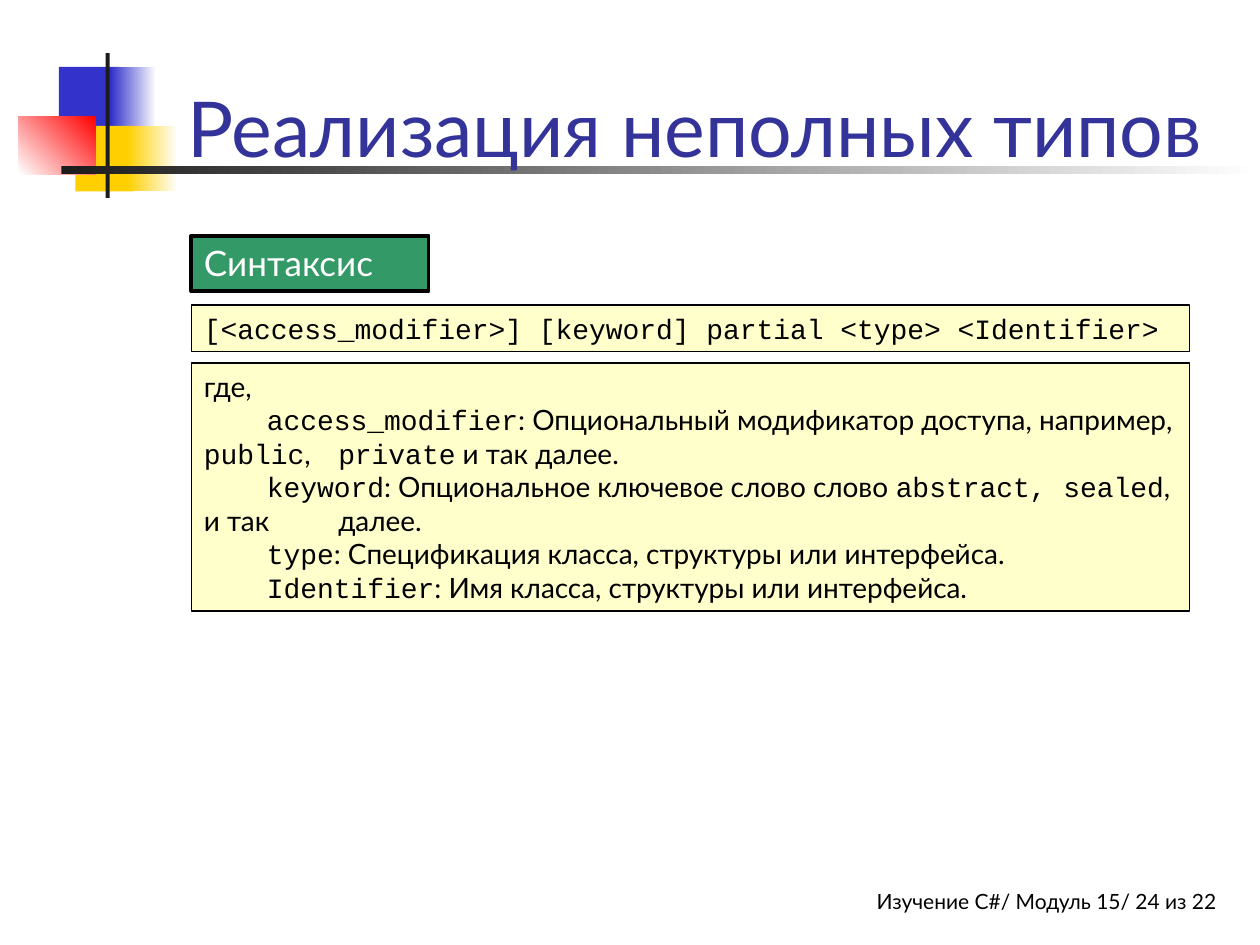
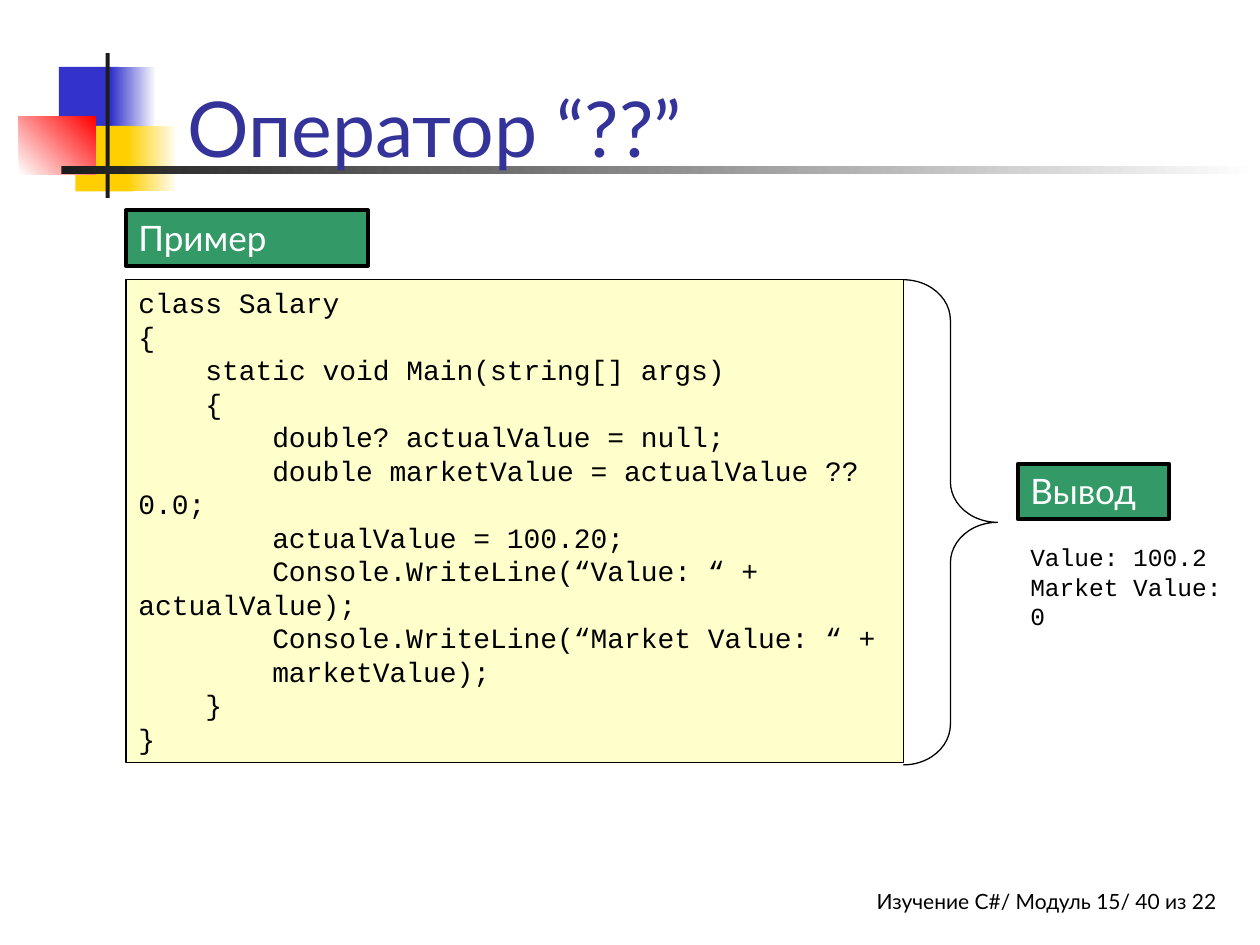
from lxml.etree import SubElement
from pptx import Presentation
from pptx.dml.color import RGBColor
from pptx.enum.shapes import MSO_SHAPE as Preset
from pptx.enum.text import MSO_ANCHOR as Anchor, MSO_AUTO_SIZE as AutoSize, PP_ALIGN as Align
from pptx.oxml.ns import qn
from pptx.util import Cm, Pt

# Shared look
SANS, MONO = "Lato", "Courier New"
BLACK, WHITE = "000000", "FFFFFF"
TITLE_BLUE, LABEL_GREEN, BOX_CREAM = "333399", "339966", "FFFFCC"
BLUE, YELLOW, RED, CHARCOAL = "3333CC", "FFCF01", "FF0000", "1C1C1C"
CODE_INDENT = 1.35  # four characters of 16 pt code

# Left, top, width, height, start colour, end colour, angle
DECORATION = [
    (1.19, 1.35, 1.22, 1.32, BLUE, None, 0),
    (2.24, 1.35, 0.91, 1.32, BLUE, WHITE, 0),
    (1.52, 2.54, 1.17, 1.32, YELLOW, None, 0),
    (2.57, 2.54, 1.02, 1.32, YELLOW, WHITE, 0),
    (0.38, 2.34, 1.55, 1.17, WHITE, RED, 45),
    (2.13, 1.07, 0.08, 2.92, CHARCOAL, None, 0),
    (1.24, 3.35, 24.16, 0.15, CHARCOAL, WHITE, 0),
]

SYNTAX = "[<access_modifier>] [keyword] partial <type> <Identifier>"

# Each paragraph alternates code and prose runs
EXPLANATION = [
    [("где,", SANS)],
    [("\taccess_modifier", MONO),
     (": Опциональный модификатор доступа, например, ", SANS),
     ("public", MONO), (", \t", SANS), ("private", MONO), (" и так далее.", SANS)],
    [("\tkeyword", MONO), (": Опциональное ключевое слово слово ", SANS),
     ("abstract, sealed", MONO), (", и так \tдалее.", SANS)],
    [("\ttype", MONO), (": Спецификация класса, структуры или интерфейса.", SANS)],
    [("\tIdentifier", MONO), (": Имя класса, структуры или интерфейса.", SANS)],
]

# Indent level of the first line, level of wrapped lines, code
CODE = [
    (0, 0, "class Salary"),
    (0, 0, "{"),
    (1, 0, "static void Main(string[] args)"),
    (1, 0, "{"),
    (2, 0, "double? actualValue = null;"),
    (2, 0, "double marketValue = actualValue ?? 0.0;"),
    (2, 0, "actualValue = 100.20;"),
    (2, 0, "Console.WriteLine(“Value: “ + actualValue);"),
    (2, 2, "Console.WriteLine(“Market Value: “ + marketValue);"),
    (1, 0, "}"),
    (0, 0, "}"),
]


def color(hex_code):
    return RGBColor.from_string(hex_code)


def place(left, top, width, height):
    return Cm(left), Cm(top), Cm(width), Cm(height)


def write(shape, paragraphs, size=16, ink=BLACK, font=SANS, align=Align.LEFT,
          anchor=Anchor.TOP, spacing=None, tabs=(), indents=()):
    """Fill a shape with paragraphs, each a string or a list of (text, font) runs."""
    frame = shape.text_frame
    frame.word_wrap = True
    frame.auto_size = AutoSize.NONE
    frame.vertical_anchor = anchor
    for index, content in enumerate(paragraphs):
        paragraph = frame.add_paragraph() if index else frame.paragraphs[0]
        paragraph.alignment = align
        if spacing:
            paragraph.line_spacing = Pt(spacing)
        properties = paragraph._p.get_or_add_pPr()
        if tabs:
            tab_list = SubElement(properties, qn("a:tabLst"))
            for position in tabs:
                SubElement(tab_list, qn("a:tab"), pos=str(Cm(position)), algn="l")
        if indents:
            first, wrapped = indents[index]
            properties.set("marL", str(Cm(wrapped * CODE_INDENT)))
            properties.set("indent", str(Cm((first - wrapped) * CODE_INDENT)))
        runs = [(content, font)] if isinstance(content, str) else content
        for text, run_font in runs:
            run = paragraph.add_run()
            run.text = text
            run.font.name = run_font
            run.font.size = Pt(size)
            run.font.color.rgb = color(ink)


def add_preset(slide, preset, bounds, fill=None, line_width=None):
    shape = slide.shapes.add_shape(preset, *place(*bounds))
    shape.shadow.inherit = False
    if fill:
        shape.fill.solid()
        shape.fill.fore_color.rgb = color(fill)
    else:
        shape.fill.background()
    if line_width:
        shape.line.color.rgb = color(BLACK)
        shape.line.width = Pt(line_width)
    else:
        shape.line.fill.background()
    return shape


def add_decoration(slide):
    for *bounds, start, end, angle in DECORATION:
        shape = add_preset(slide, Preset.RECTANGLE, bounds, start)
        if end:
            shape.fill.gradient()
            shape.fill.gradient_angle = angle
            for stop, hex_code in zip(shape.fill.gradient_stops, (start, end)):
                stop.color.rgb = color(hex_code)


def add_label(slide, left, top, width, text):
    shape = add_preset(slide, Preset.RECTANGLE, (left, top, width, 1.12), LABEL_GREEN, 2.25)
    write(shape, [text], size=20, ink=WHITE)


def add_panel(slide, bounds, paragraphs, **text_format):
    shape = add_preset(slide, Preset.RECTANGLE, bounds, BOX_CREAM, 0.75)
    write(shape, paragraphs, spacing=19.15, **text_format)


def add_text(slide, bounds, paragraphs, **text_format):
    box = slide.shapes.add_textbox(*place(*bounds))
    write(box, paragraphs, **text_format)
    return box


def add_slide(presentation, title_text, number):
    """Start a slide with the shared footer, decoration and title."""
    slide = presentation.slides.add_slide(presentation.slide_layouts[5])
    footer = add_text(slide, (11.63, 17.78, 12.9, 0.84),
                      [f"Изучение C#/ Модуль 15/ {number} из 22"],
                      size=12, align=Align.RIGHT)
    footer.text_frame.margin_right = 0
    add_decoration(slide)
    title = slide.shapes.title
    title.left, title.top, title.width, title.height = place(3.53, 0.43, 21.64, 3.18)
    write(title, [title_text], size=44, ink=TITLE_BLUE, anchor=Anchor.BOTTOM)
    slide.shapes._spTree.append(title._element)  # title in front of the rule
    return slide


def build_partial_types(presentation):
    slide = add_slide(presentation, "Реализация неполных типов", 24)
    add_label(slide, 3.86, 4.75, 4.78, "Синтаксис")
    add_panel(slide, (3.86, 6.15, 20.12, 0.94), [SYNTAX], font=MONO)
    add_panel(slide, (3.86, 7.32, 20.12, 5), EXPLANATION, tabs=(1.27, 2.71))


def build_operator(presentation):
    slide = add_slide(presentation, "Оператор “??”", 40)
    # Code example
    add_label(slide, 2.54, 4.24, 4.88, "Пример")
    add_panel(slide, (2.54, 5.64, 15.67, 9.73), [code for _, _, code in CODE], font=MONO,
              indents=[(first, wrapped) for first, wrapped, _ in CODE])
    # Brace pointing to the output
    brace = add_preset(slide, Preset.RIGHT_BRACE, (18.21, 5.64, 1.9, 9.78), line_width=0.75)
    brace.adjustments[0] = 0.43
    brace.adjustments[1] = 0.5
    add_label(slide, 20.52, 9.35, 3.05, "Вывод")
    add_text(slide, (20.52, 10.8, 4.65, 2.03), ["Value: 100.2", "Market Value: 0"],
             size=14, font=MONO, spacing=16.9)


def main():
    presentation = Presentation()
    presentation.slide_width, presentation.slide_height = Cm(25.4), Cm(19.05)
    build_partial_types(presentation)
    build_operator(presentation)
    presentation.save("out.pptx")


main()
